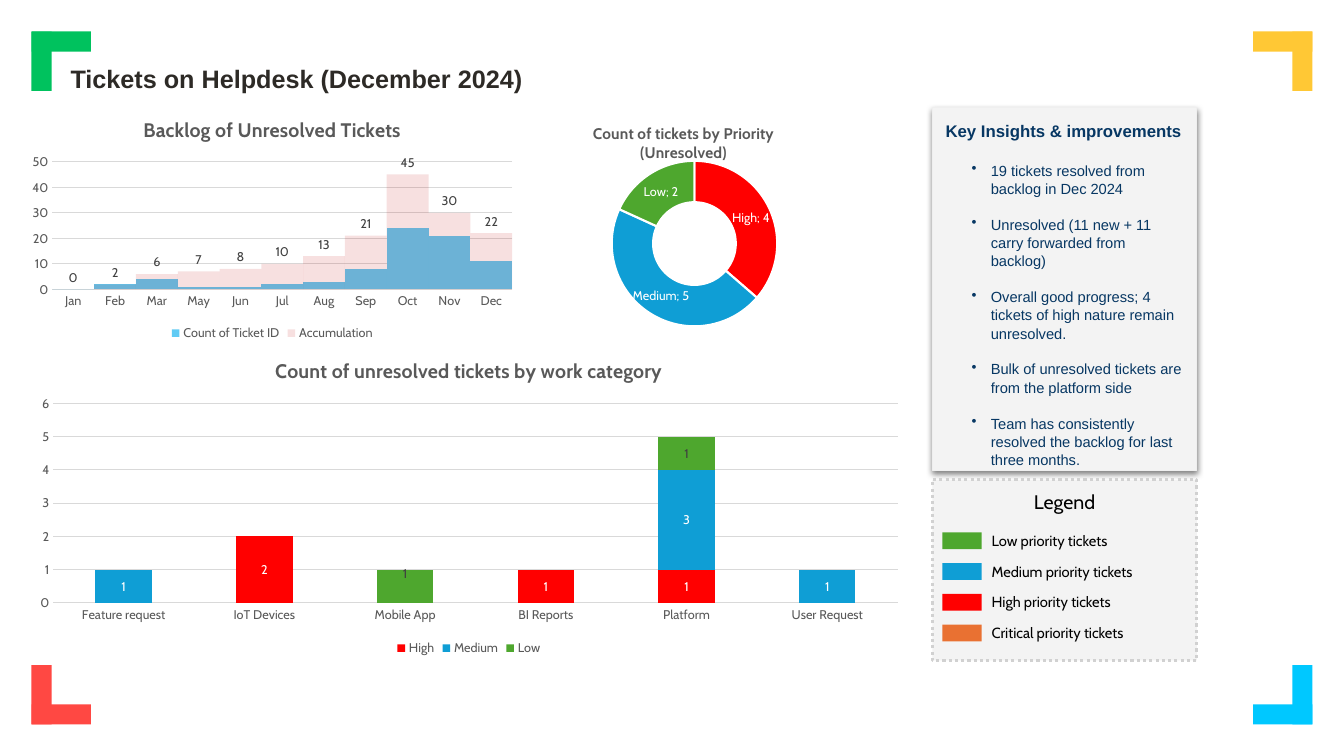
from dataclasses import dataclass
from pptx import Presentation
from pptx.chart.data import CategoryChartData
from pptx.dml.color import RGBColor
from pptx.enum.chart import XL_CHART_TYPE, XL_LABEL_POSITION, XL_LEGEND_POSITION, XL_TICK_MARK
from pptx.enum.dml import MSO_LINE
from pptx.enum.shapes import MSO_SHAPE
from pptx.enum.text import MSO_ANCHOR, PP_ALIGN
from pptx.oxml import parse_xml
from pptx.oxml.ns import nsdecls
from pptx.util import Pt


@dataclass(frozen=True)
class Theme:
    """Colours, fonts and type sizes of the slide."""
    sans: str = "Arial"
    soft: str = "Cabin"
    ink: str = "2D2A26"
    navy: str = "073763"
    black: str = "000000"
    white: str = "FFFFFF"
    grey: str = "595959"
    dark: str = "404040"
    grid: str = "D9D9D9"
    panel: str = "F3F3F3"
    edge: str = "EFEFEF"
    dots: str = "D1D1D1"
    red: str = "FF0000"
    blue: str = "0F9ED5"
    green: str = "4EA72E"
    amber: str = "E97132"
    sky: str = "61CBF4"
    wine: str = "C00000"
    corners: tuple = ("00C25E", "FFC835", "FF4843", "00C8FF")
    title: float = 18
    head: float = 14
    sub: float = 12
    ring: float = 11
    body: float = 10.5
    small: float = 9


T = Theme()
WIDE, HIGH = 960, 540


def style(font, size, color, face=T.soft, bold=False):
    """Set face, size, colour and weight of a font."""
    font.name, font.size, font.bold = face, Pt(size), bold
    font.color.rgb = RGBColor.from_string(color)


def write(para, text, *look):
    """Add one styled run to a paragraph."""
    run = para.add_run()
    run.text = text
    style(run.font, *look)


def paint(part, color):
    """Give a shape, series or point a solid fill."""
    part.fill.solid()
    part.fill.fore_color.rgb = RGBColor.from_string(color)


def block(slide, box, color):
    """Draw a plain filled box."""
    shape = slide.shapes.add_shape(MSO_SHAPE.RECTANGLE, *map(Pt, box))
    shape.shadow.inherit = False
    paint(shape, color)
    shape.line.fill.background()
    return shape


def label(slide, box, text, size, align=PP_ALIGN.LEFT):
    """Place a line of text."""
    frame = slide.shapes.add_textbox(*map(Pt, box)).text_frame
    frame.word_wrap = True
    frame.paragraphs[0].alignment = align
    write(frame.paragraphs[0], text, size, T.black)


def frame_corners(slide, box):
    """Put an angle of two bars in each corner of the box."""
    left, top, wide, high = box
    long, thin = 42.5, 14.4
    for i, color in enumerate(T.corners):
        row, col = divmod(i, 2)
        for w, h in ((thin, long), (long, thin)):
            block(slide, (left + col * (wide - w), top + row * (high - h), w, h), color)


def heading(slide, box, text):
    """Move and fill the title."""
    title = slide.shapes.title
    title.left, title.top, title.width, title.height = map(Pt, box)
    frame = title.text_frame
    frame.margin_left = frame.margin_right = frame.margin_top = frame.margin_bottom = 0
    frame.vertical_anchor = MSO_ANCHOR.MIDDLE
    frame.paragraphs[0].alignment = PP_ALIGN.LEFT
    write(frame.paragraphs[0], text, T.title, T.ink, T.sans, True)


def insights(slide, box, head, points):
    """Draw the shaded panel with its bullet list."""
    panel = block(slide, box, T.panel)
    panel.line.color.rgb = RGBColor.from_string(T.edge)
    panel.line.width = Pt(0.75)
    panel.element.spPr.effectLst.append(parse_xml(
        f'<a:outerShdw {nsdecls("a")} blurRad="{Pt(4.5)}" dist="{Pt(1.5)}" dir="5400000" '
        f'algn="t" rotWithShape="0"><a:srgbClr val="{T.black}"><a:alpha val="50000"/>'
        '</a:srgbClr></a:outerShdw>'))
    frame = panel.text_frame
    frame.word_wrap = True
    frame.vertical_anchor = MSO_ANCHOR.TOP
    frame.margin_left = frame.margin_right = frame.margin_top = frame.margin_bottom = Pt(9.4)
    para = frame.paragraphs[0]
    para.alignment = PP_ALIGN.LEFT
    write(para, head, T.sub, T.navy, T.sans, True)
    for i, text in enumerate(points):
        para = frame.add_paragraph()
        para.alignment = PP_ALIGN.LEFT
        para.line_spacing = 1.04
        para.space_before = Pt(12.5 if i else 14)
        props = para._p.get_or_add_pPr()
        props.set("marL", str(Pt(32.4)))
        props.set("indent", str(Pt(-13.7)))
        props.append(parse_xml(f'<a:buClr {nsdecls("a")}><a:srgbClr val="{T.navy}"/></a:buClr>'))
        props.append(parse_xml(f'<a:buChar {nsdecls("a")} char="•"/>'))
        write(para, text, T.body, T.navy, T.sans)


def legend(slide, box, head, rows):
    """Draw the dotted colour key."""
    left, top, wide, high = box
    panel = block(slide, box, T.panel)
    panel.line.color.rgb = RGBColor.from_string(T.dots)
    panel.line.width = Pt(2.25)
    panel.line.dash_style = MSO_LINE.ROUND_DOT
    label(slide, (left + 22, top + 3.6, 145, 24), head, T.head, PP_ALIGN.CENTER)
    for i, (text, color) in enumerate(rows):
        y = top + 37.5 + 22 * i
        block(slide, (left + 7.2, y, 28, 12), color)
        label(slide, (left + 35.3, y - 4, 150, 20), text, T.body)


def graph(slide, box, kind, title, size, cats, series):
    """Add a titled chart with its fonts set."""
    data = CategoryChartData()
    data.categories = cats
    for name, values in series:
        data.add_series(name, values)
    chart = slide.shapes.add_chart(kind, *map(Pt, box), data).chart
    style(chart.font, 10, T.black)
    chart.has_title = True
    chart.chart_title.include_in_layout = False
    write(chart.chart_title.text_frame.paragraphs[0], title, size, T.grey, T.soft, True)
    chart.has_legend = False
    return chart


def tag(series, color, spot=None):
    """Show the values of a series."""
    tags = series.data_labels
    tags.show_value = True
    style(tags.font, T.small, color)
    if spot is not None:
        tags.position = spot
    return tags


def bars(slide, box, kind, title, cats, series, gap, top, step):
    """Add a column chart with axes, grid and key."""
    chart = graph(slide, box, kind, title, T.head, cats, series)
    plot, across, up = chart.plots[0], chart.category_axis, chart.value_axis
    plot.gap_width, plot.overlap, plot.vary_by_categories = gap, 100, False
    for axis in (across, up):
        axis.major_tick_mark = axis.minor_tick_mark = XL_TICK_MARK.NONE
        style(axis.tick_labels.font, T.small, T.grey)
    up.minimum_scale, up.maximum_scale, up.major_unit = 0, top, step
    up.format.line.fill.background()
    for line in (across.format.line, up.major_gridlines.format.line):
        line.color.rgb = RGBColor.from_string(T.grid)
        line.width = Pt(0.75)
    chart.has_legend = True
    chart.legend.position = XL_LEGEND_POSITION.BOTTOM
    chart.legend.include_in_layout = False
    style(chart.legend.font, T.small, T.grey)
    return chart


def backlog(slide, box):
    """Chart open tickets by month."""
    months = "Jan Feb Mar May Jun Jul Aug Sep Oct Nov Dec".split()
    chart = bars(slide, box, XL_CHART_TYPE.COLUMN_CLUSTERED, "Backlog of Unresolved Tickets", months,
                 (("Count of Ticket ID", (0, 2, 4, 1, 1, 2, 3, 8, 24, 21, 11)),
                  ("Accumulation", (0, 2, 6, 7, 8, 10, 13, 21, 45, 30, 22))), 0, 50, 10)
    count, total = chart.plots[0].series
    paint(count.format, T.sky)
    paint(total.format, T.wine)
    tint = total.format.fill._xPr.find(".//{*}srgbClr")
    tint.append(parse_xml(f'<a:alpha {nsdecls("a")} val="12000"/>'))
    tag(total, T.dark, XL_LABEL_POSITION.OUTSIDE_END)


def ranks(slide, box):
    """Chart open tickets by priority as a ring."""
    chart = graph(slide, box, XL_CHART_TYPE.DOUGHNUT, "Count of tickets by Priority (Unresolved)",
                  T.ring, ("High", "Medium", "Low"), (("Series 1", (4, 5, 2)),))
    series = chart.plots[0].series[0]
    for i, color in enumerate((T.red, T.blue, T.green)):
        part = series.points[i].format
        paint(part, color)
        part.line.color.rgb = RGBColor.from_string(T.white)
        part.line.width = Pt(1.5)
    tag(series, T.white).show_category_name = True
    area = chart.element.find(".//{*}plotArea")
    for old in area.findall("{*}layout"):
        area.remove(old)
    area.insert(0, place("inner", x=0.279, y=0.22, w=0.509, h=0.714))


def place(target=None, **spots):
    """Build a manual chart layout."""
    inner = f'<c:layoutTarget val="{target}"/>' if target else ""
    modes = '<c:xMode val="edge"/><c:yMode val="edge"/>' if target else ""
    marks = "".join(f'<c:{key} val="{value}"/>' for key, value in spots.items())
    return parse_xml(f'<c:layout {nsdecls("c")}><c:manualLayout>{inner}{modes}{marks}'
                     '</c:manualLayout></c:layout>')


def works(slide, box):
    """Chart open tickets by kind of work."""
    cats = ("Feature request", "IoT Devices", "Mobile App", "BI Reports", "Platform", "User Request")
    chart = bars(slide, box, XL_CHART_TYPE.COLUMN_STACKED, "Count of unresolved tickets by work category",
                 cats, (("High", (None, 2, None, 1, 1, None)), ("Medium", (1, None, None, None, 3, 1)),
                        ("Low", (None, None, 1, None, 1, None))), 150, 6, 1)
    looks = ((T.red, T.white), (T.blue, T.white), (T.green, T.dark))
    for series, (fill, text) in zip(chart.plots[0].series, looks):
        paint(series.format, fill)
        tag(series, text, XL_LABEL_POSITION.CENTER)
    mark = series.points[2].data_label
    style(mark.font, T.small, T.dark)
    mark.position = XL_LABEL_POSITION.CENTER
    chart.element.find(".//{*}dLbl").insert(1, place(x=0, y=-0.04))


def main():
    """Build and save the slide."""
    deck = Presentation()
    deck.slide_width, deck.slide_height = Pt(WIDE), Pt(HIGH)
    slide = deck.slides.add_slide(deck.slide_layouts[5])
    frame_corners(slide, (22.5, 22.5, WIDE - 45, HIGH - 45))
    heading(slide, (50.4, 44, 828, 24), "Tickets on Helpdesk (December 2024)")
    insights(slide, (666, 77, 189, 259), "Key Insights & improvements", (
        "19 tickets resolved from backlog in Dec 2024",
        "Unresolved (11 new + 11 carry forwarded from backlog)",
        "Overall good progress; 4 tickets of high nature remain unresolved.",
        "Bulk of unresolved tickets are from the platform side",
        "Team has consistently resolved the backlog for last three months."))
    legend(slide, (666, 342.7, 189, 129), "Legend", (
        ("Low priority tickets", T.green), ("Medium priority tickets", T.blue),
        ("High priority tickets", T.red), ("Critical priority tickets", T.amber)))
    backlog(slide, (16, 73.5, 357, 173))
    ranks(slide, (372, 78.5, 232.6, 165.6))
    works(slide, (16, 244, 638, 227.5))
    deck.save("out.pptx")


if __name__ == "__main__":
    main()
